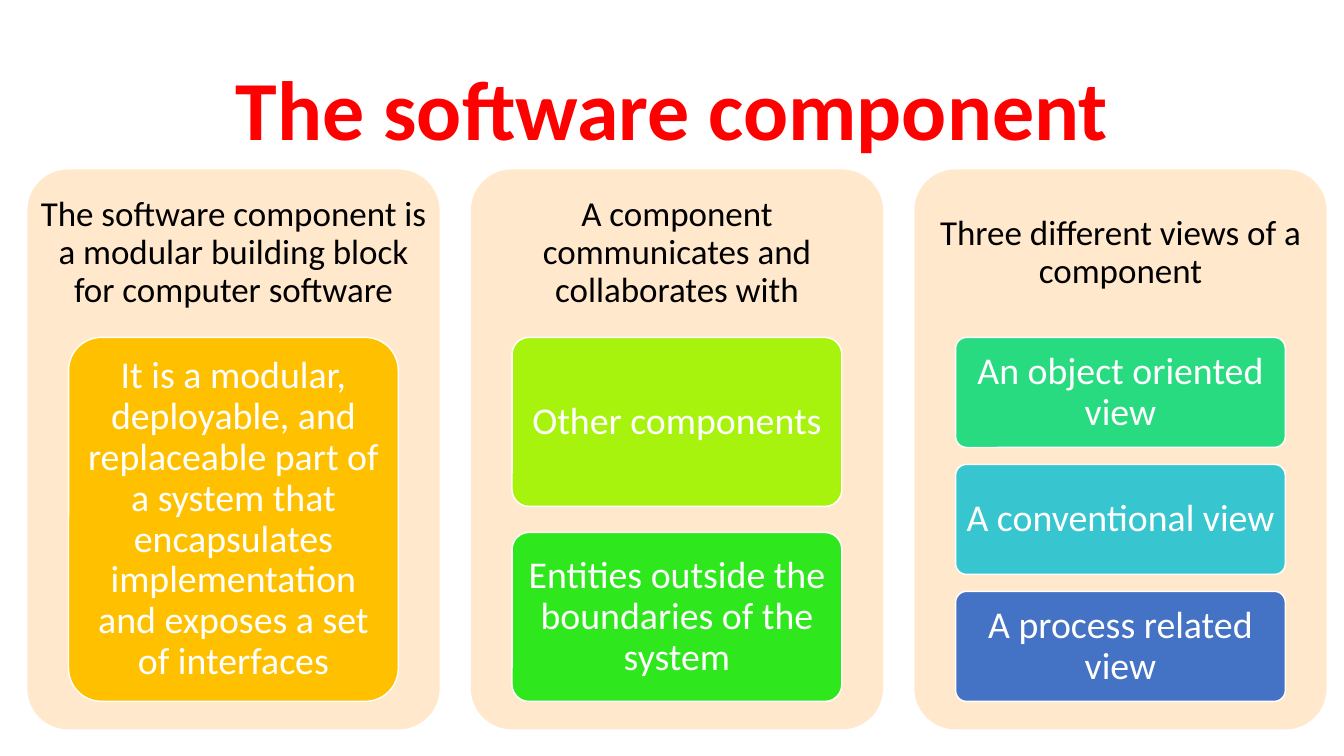
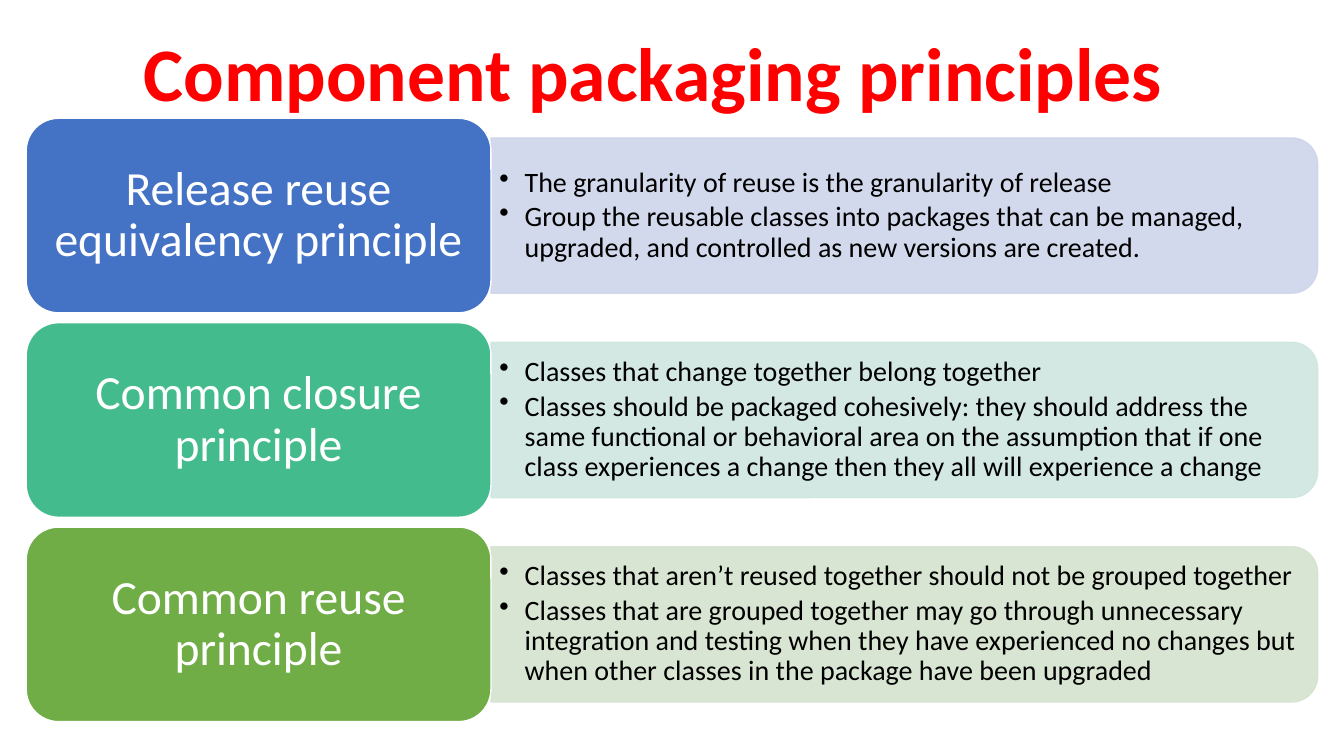
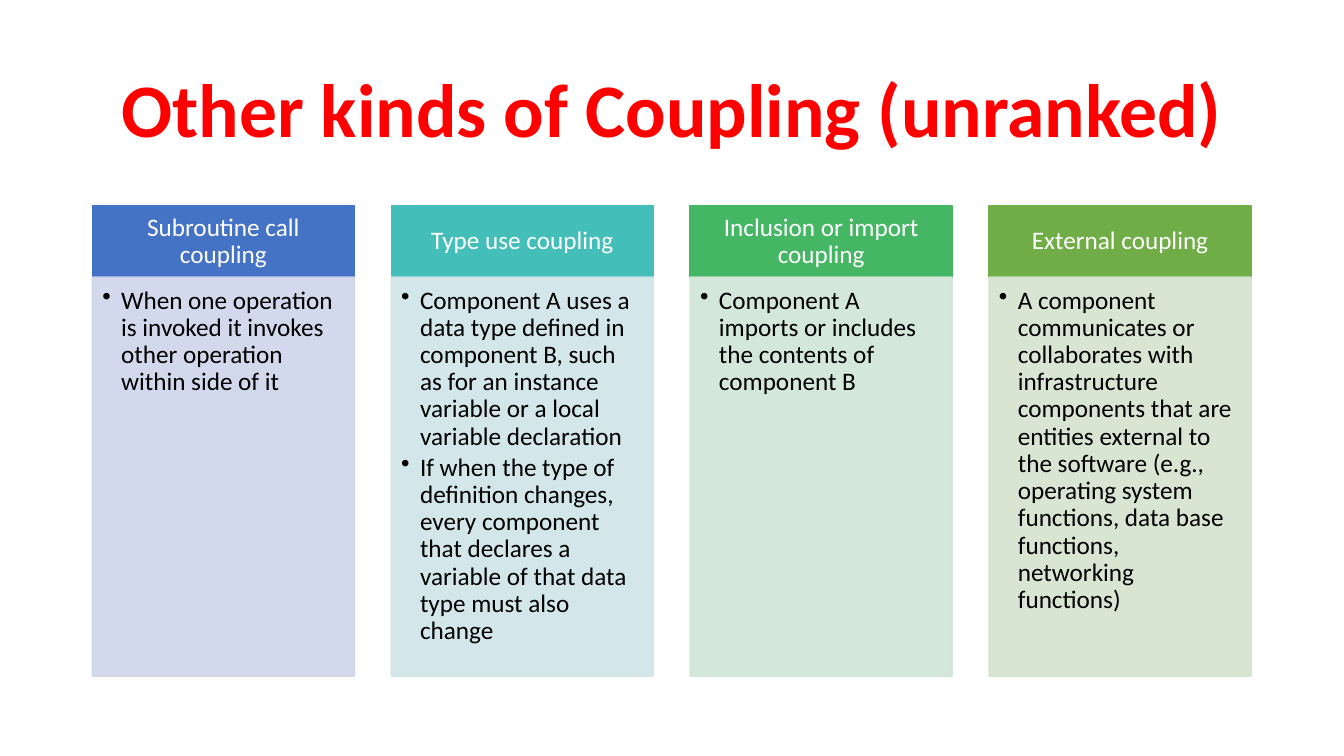
from lxml.etree import SubElement
from pptx import Presentation
from pptx.dml.color import RGBColor
from pptx.enum.shapes import MSO_SHAPE as SHAPE
from pptx.enum.text import MSO_ANCHOR as ANCHOR, PP_ALIGN as ALIGN
from pptx.oxml.ns import qn
from pptx.util import Pt

# Shared style
FONT = "Calibri"
WHITE, BLACK, RED = "FFFFFF", "000000", "FF0000"
BLUE, GREEN = "4472C4", "70AD47"
PALE_BLUE, PALE_GREEN, CREAM = "CFD5EA", "D5E3CF", "FFE8CC"
CARD_INSETS = (5, 4.5, 5, 4.5)
LABEL_INSETS = (10, 5, 10, 5)
HEADER_INSETS = (10, 5.75, 10, 5.75)


def rgb(color):
    return RGBColor.from_string(color)


def set_attrs(obj, values):
    for name, value in values.items():
        setattr(obj, name, value)


def set_alpha(sp, percent):
    """Make fill and line colours partly transparent."""
    for clr in sp._element.spPr.iter(qn("a:srgbClr")):
        SubElement(clr, qn("a:alpha")).set("val", str(percent * 1000))


def add_bullet(p, indent):
    pPr = p._p.get_or_add_pPr()
    pPr.set("marL", str(Pt(indent)))
    pPr.set("indent", str(-Pt(indent)))
    SubElement(pPr, qn("a:buChar")).set("char", "•")


def write(sp, lines, size, color, insets=(7.2, 3.6, 7.2, 3.6),
          anchor=ANCHOR.MIDDLE, bold=False, indent=0):
    """Fill a shape with paragraphs; an indent makes them a bulleted list."""
    tf = sp.text_frame
    left, top, right, bottom = map(Pt, insets)
    set_attrs(tf, {"word_wrap": True, "vertical_anchor": anchor,
                   "margin_left": left, "margin_top": top,
                   "margin_right": right, "margin_bottom": bottom})
    for i, line in enumerate(lines):
        p = tf.add_paragraph() if i else tf.paragraphs[0]
        set_attrs(p, {"alignment": ALIGN.LEFT if indent else ALIGN.CENTER,
                      "line_spacing": 0.9})
        if indent:
            p.space_after = Pt(size * 0.15)
            add_bullet(p, indent)
        r = p.add_run()
        r.text = line
        set_attrs(r.font, {"name": FONT, "size": Pt(size), "bold": bold})
        r.font.color.rgb = rgb(color)


def add_text(slide, box, lines, size, color, **fmt):
    write(slide.shapes.add_textbox(*map(Pt, box)), lines, size, color, **fmt)


def add_box(slide, kind, box, fill, line=None, adj=None):
    sp = slide.shapes.add_shape(kind, *map(Pt, box))
    sp.shadow.inherit = False
    sp.fill.solid()
    sp.fill.fore_color.rgb = rgb(fill)
    if line:
        sp.line.color.rgb = rgb(line)
        sp.line.width = Pt(1)
    else:
        sp.line.fill.background()
    if adj is not None:
        sp.adjustments[0] = adj
    return sp


def add_slide(prs, title, size=54, box=(66, 28.75, 828, 104.4)):
    slide = prs.slides.add_slide(prs.slide_layouts[6])
    return slide, lambda: add_text(slide, box, [title], size, RED, bold=True)


def add_panel(slide, x, heading, cards):
    """Rounded panel with a heading above equally tall cards."""
    top, width, head_h, stack_h = 121, 294.5, 120, 260
    add_box(slide, SHAPE.ROUNDED_RECTANGLE, (x, top, width, 400), CREAM, adj=0.1)
    add_text(slide, (x, top, width, head_h), [heading], 25, BLACK, insets=[7.2] * 4)
    gap_ratio = 2 / 13
    card_h = stack_h / (len(cards) + gap_ratio * (len(cards) - 1))
    for i, (text, fill) in enumerate(cards):
        y = top + head_h + i * card_h * (1 + gap_ratio)
        sp = add_box(slide, SHAPE.ROUNDED_RECTANGLE, (x + 29.5, y, 235.5, card_h),
                     fill, WHITE, adj=0.1)
        write(sp, [text], 27, WHITE, CARD_INSETS)


def add_principle(slide, y, label, fill, pale, points):
    """Label at left, pale band with bullets at right."""
    label_x, label_w, label_h = 18.75, 332, 139
    band_x, band_w, band_h = label_x + label_w, 590.4, 110.9
    mid = y + label_h / 2
    # The band is a tall shape turned on its side, so its right corners are round
    band = add_box(slide, SHAPE.ROUND_2_SAME_RECTANGLE,
                   (band_x + (band_w - band_h) / 2, mid - band_w / 2, band_h, band_w),
                   pale, pale)
    band.rotation = 90
    set_alpha(band, 90)
    add_text(slide, (band_x, mid - 50, 585.4, 100), points, 20, BLACK,
             insets=(6, 3, 6, 3), indent=18)
    sp = add_box(slide, SHAPE.ROUNDED_RECTANGLE, (label_x, y, label_w, label_h),
                 fill, WHITE)
    write(sp, [label], 34, WHITE, LABEL_INSETS)


def add_column(slide, x, heading, fill, pale, points):
    """Coloured header over a pale body with bullets."""
    top, width, head_h = 146.9, 187.2, 51.1
    head = add_box(slide, SHAPE.RECTANGLE, (x, top, width, head_h), fill, fill)
    write(head, [heading], 18, WHITE, HEADER_INSETS)
    body = add_box(slide, SHAPE.RECTANGLE, (x, top + head_h, width, 285), pale, pale)
    set_alpha(body, 90)
    write(body, points, 18, BLACK, (7.2, 7.2, 10, 11.5), ANCHOR.TOP, indent=13.5)


PANELS = [
    ("The software component is a modular building block for computer software",
     [("It is a modular, deployable, and replaceable part of a system that "
       "encapsulates implementation and exposes a set of interfaces", "FFC000")]),
    ("A component communicates and collaborates with",
     [("Other components", "A7F30E"),
      ("Entities outside the boundaries of the system", "2EE71C")]),
    ("Three different views of a component",
     [("An object oriented view", "29DB80"),
      ("A conventional view", "37C6CF"),
      ("A process related view", BLUE)]),
]

PRINCIPLES = [
    ("Release reuse equivalency principle", BLUE, PALE_BLUE,
     ["The granularity of reuse is the granularity of release",
      "Group the reusable classes into packages that can be managed, upgraded, "
      "and controlled as new versions are created."]),
    ("Common closure principle", "43BB8D", "CFE6E0",
     ["Classes that change together belong together",
      "Classes should be packaged cohesively: they should address the same "
      "functional or behavioral area on the assumption that if one class "
      "experiences a change then they all will experience a change"]),
    ("Common reuse principle", GREEN, PALE_GREEN,
     ["Classes that aren’t reused together should not be grouped together",
      "Classes that are grouped together may go through unnecessary integration "
      "and testing when they have experienced no changes but when other classes "
      "in the package have been upgraded"]),
]

COUPLINGS = [
    ("Subroutine call coupling", BLUE, PALE_BLUE,
     ["When one operation is invoked it invokes other operation within side of it"]),
    ("Type use coupling", "43BEB9", "CFE5E8",
     ["Component A uses a data type defined in component B, such as for an "
      "instance variable or a local variable declaration",
      "If when the type of definition changes, every component that declares a "
      "variable of that data type must also change"]),
    ("Inclusion or import coupling", "45B664", "CFE5D8",
     ["Component A imports or includes the contents of component B"]),
    ("External coupling", GREEN, PALE_GREEN,
     ["A component communicates or collaborates with infrastructure components "
      "that are entities external to the software (e.g., operating system "
      "functions, data base functions, networking functions)"]),
]


def main():
    prs = Presentation()
    set_attrs(prs, {"slide_width": Pt(960), "slide_height": Pt(540)})

    # The software component
    slide, add_title = add_slide(prs, "The software component", size=60)
    add_title()
    for i, panel in enumerate(PANELS):
        add_panel(slide, 19.5 + i * 316.8, *panel)

    # Packaging principles
    slide, add_title = add_slide(prs, "Component packaging principles",
                                 box=(52.6, 26, 828, 58.3))
    add_title()
    for i, principle in enumerate(PRINCIPLES):
        add_principle(slide, 84.5 + i * 146, *principle)

    # Kinds of coupling
    slide, add_title = add_slide(prs, "Other kinds of Coupling (unranked)")
    add_title()
    for i, coupling in enumerate(COUPLINGS):
        add_column(slide, 66 + i * 213.5, *coupling)

    prs.save("out.pptx")


main()
